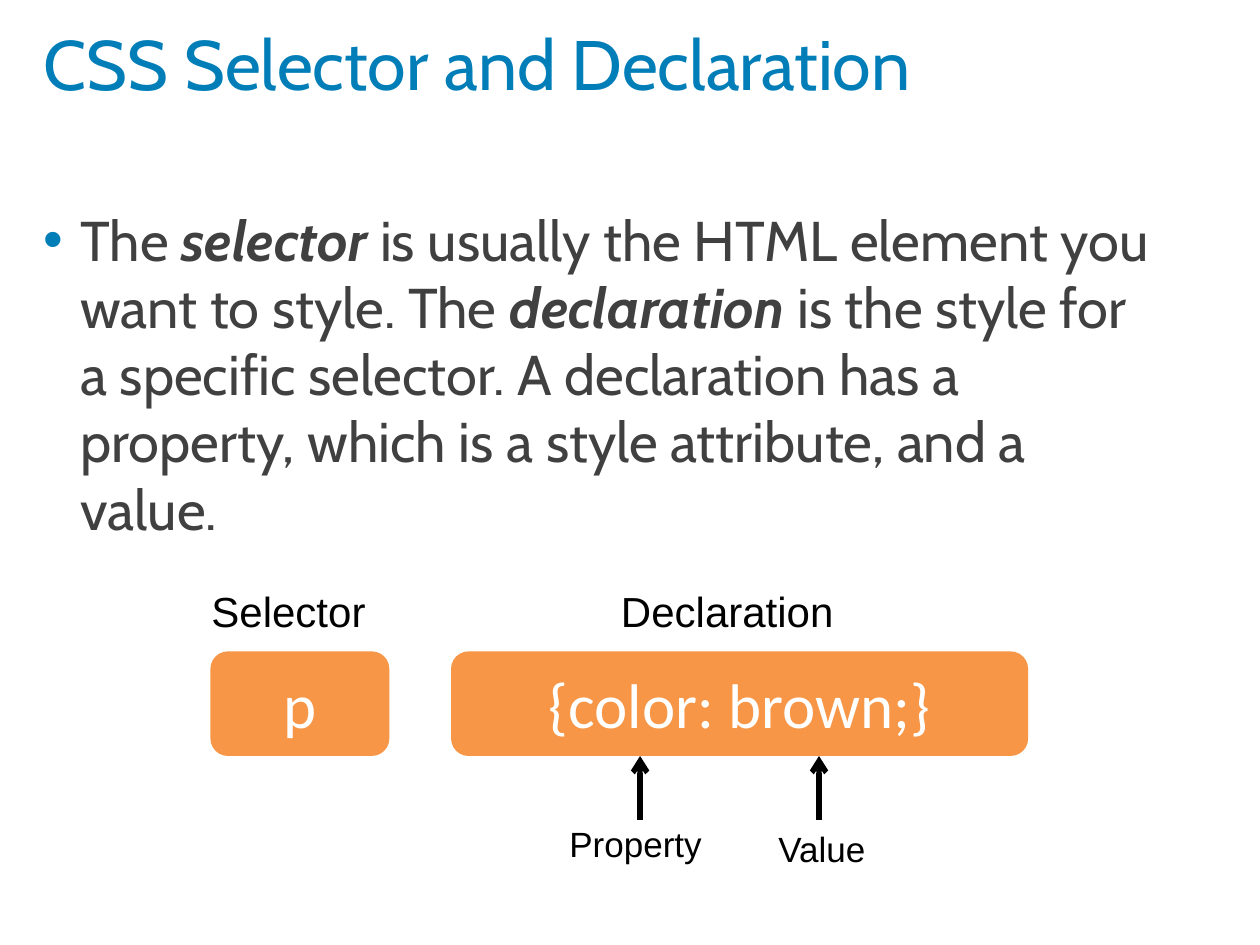
from lxml import etree
from pptx import Presentation
from pptx.dml.color import RGBColor
from pptx.enum.shapes import MSO_CONNECTOR, MSO_SHAPE
from pptx.enum.text import MSO_ANCHOR, PP_ALIGN
from pptx.oxml.ns import qn
from pptx.util import Inches, Pt

ROUNDED = MSO_SHAPE.ROUNDED_RECTANGLE
STRAIGHT = MSO_CONNECTOR.STRAIGHT
TOP, MIDDLE = MSO_ANCHOR.TOP, MSO_ANCHOR.MIDDLE
CENTER = PP_ALIGN.CENTER

BLUE, GRAY, ORANGE, WHITE, BLACK = "017EB8", "404040", "F79646", "FFFFFF", "000000"
TITLE = {"name": "Cabin", "size": Pt(40)}
BODY = {"name": "Cabin", "size": Pt(32)}
CODE = {"name": "Calibri", "size": Pt(36)}
PART_LABEL = {"name": "Arial", "size": Pt(24)}
ARROW_LABEL = {"name": "Arial", "size": Pt(20)}
EMPHASIS = {"bold": True, "italic": True}

BOX_TOP, BOX_HEIGHT = 5.17, 0.83
BOX_BOTTOM = BOX_TOP + BOX_HEIGHT
ARROW_START = 6.51


def color(hex_value):
    return RGBColor.from_string(hex_value)


def add_span(para, text, style, hex_value):
    span = para.add_run()
    span.text = text
    for name, value in style.items():
        setattr(span.font, name, value)
    span.font.color.rgb = color(hex_value)


def add_text(page, area, text, style, hex_value, anchor=TOP):
    box = page.shapes.add_textbox(*map(Inches, area))
    box.text_frame.word_wrap = True
    box.text_frame.vertical_anchor = anchor
    add_span(box.text_frame.paragraphs[0], text, style, hex_value)


def add_bullet(para, indent):
    properties = para._p.get_or_add_pPr()
    properties.set("marL", str(Inches(indent)))
    properties.set("indent", str(-Inches(indent)))
    bullet_color = etree.SubElement(properties, qn("a:buClr"))
    etree.SubElement(bullet_color, qn("a:srgbClr"), val=BLUE)
    etree.SubElement(properties, qn("a:buFont"), typeface="Arial")
    etree.SubElement(properties, qn("a:buChar"), char="•")


def add_explanation(page, area, spans):
    box = page.shapes.add_textbox(*map(Inches, area))
    box.text_frame.word_wrap = True
    para = box.text_frame.paragraphs[0]
    add_bullet(para, 0.29)
    for text, emphasis in spans:
        add_span(para, text, BODY | emphasis, GRAY)


def add_code_box(page, left, width, text):
    box = page.shapes.add_shape(
        ROUNDED, *map(Inches, (left, BOX_TOP, width, BOX_HEIGHT)))
    box.shadow.inherit = False
    box.fill.solid()
    box.fill.fore_color.rgb = color(ORANGE)
    box.line.fill.background()
    box.text_frame.vertical_anchor = MIDDLE
    para = box.text_frame.paragraphs[0]
    para.alignment = CENTER
    add_span(para, text, CODE, WHITE)


def add_up_arrow(page, x):
    arrow = page.shapes.add_connector(
        STRAIGHT, *map(Inches, (x, ARROW_START, x, BOX_BOTTOM)))
    arrow.line.color.rgb = color(BLACK)
    arrow.line.width = Pt(3)
    etree.SubElement(arrow.line._get_or_add_ln(), qn("a:tailEnd"), type="arrow")
    etree.SubElement(arrow._element.spPr, qn("a:effectLst"))


def main():
    deck = Presentation()
    deck.slide_width, deck.slide_height = Inches(10), Inches(7.5)
    page = deck.slides.add_slide(deck.slide_layouts[6])

    # Title and explanation
    add_text(page, (0.25, 0, 9, 1), "CSS Selector and Declaration", TITLE, BLUE, MIDDLE)
    add_explanation(page, (0.25, 1.58, 9, 4.95), [
        ("The ", {}),
        ("selector ", EMPHASIS),
        ("is usually the HTML element you want to style. The ", {}),
        ("declaration ", EMPHASIS),
        ("is the style for a specific selector. A declaration has a property, "
         "which is a style attribute, and a value.", {}),
    ])

    # The parts of a rule
    add_code_box(page, 1.67, 1.42, "p")
    add_code_box(page, 3.58, 4.58, "{color: brown;}")
    for left, width, text in [(1.58, 1.5, "Selector"), (4.83, 2.08, "Declaration")]:
        add_text(page, (left, 4.6, width, 0.51), text, PART_LABEL, BLACK)

    # Arrows to the parts of the declaration
    for x, area, text in [
        (5.08, (4.42, 6.48, 1.3, 0.44), "Property"),
        (6.5, (6.08, 6.52, 1, 0.44), "Value"),
    ]:
        add_text(page, area, text, ARROW_LABEL, BLACK)
        add_up_arrow(page, x)

    deck.save("out.pptx")


if __name__ == "__main__":
    main()
